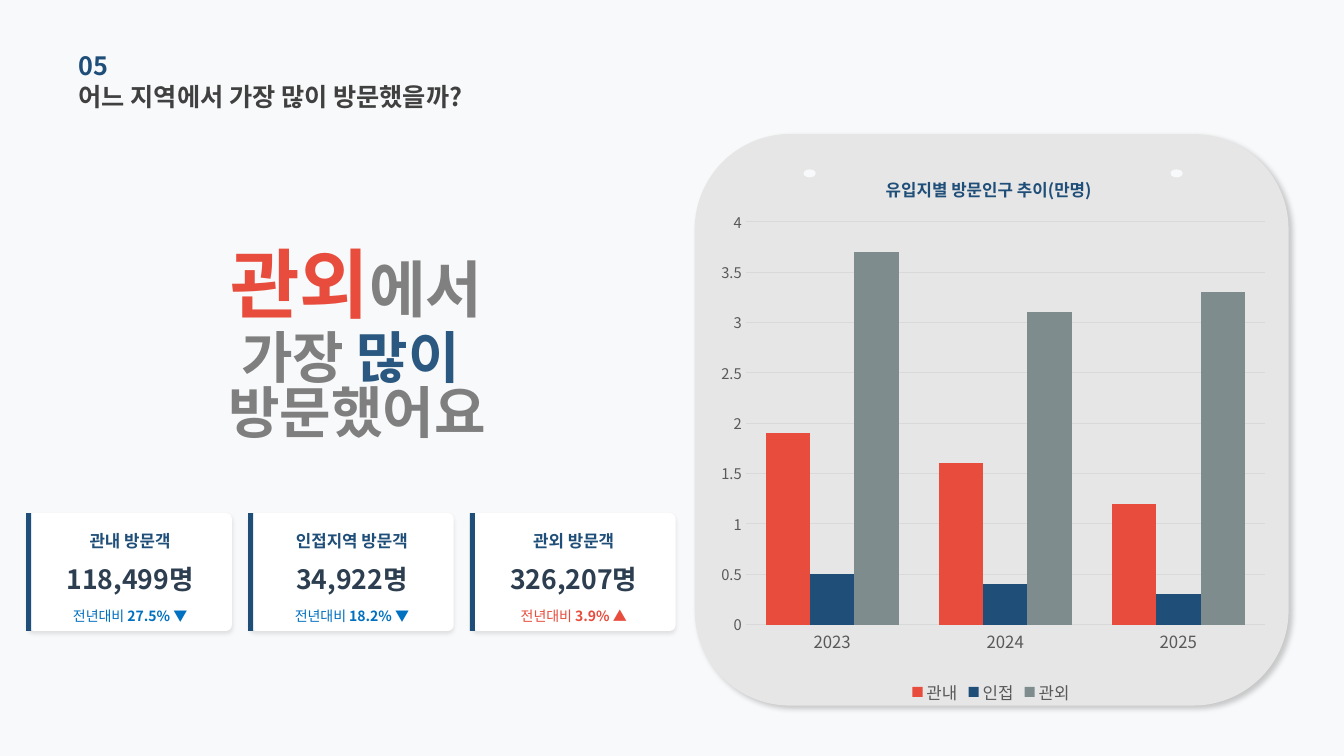
"""Build the slide on where visitors came from: headline, three figure cards and a column chart."""
from lxml import etree
from pptx import Presentation
from pptx.chart.data import CategoryChartData
from pptx.dml.color import RGBColor
from pptx.enum.chart import XL_CHART_TYPE, XL_LEGEND_POSITION, XL_TICK_MARK
from pptx.enum.shapes import MSO_SHAPE
from pptx.enum.text import MSO_ANCHOR, MSO_AUTO_SIZE, PP_ALIGN
from pptx.oxml import parse_xml
from pptx.oxml.ns import nsdecls, qn
from pptx.util import Inches, Pt

FONT = "Noto Sans CJK KR"
BACKGROUND = RGBColor(0xF8, 0xF9, 0xFA)
PANEL = RGBColor(0xE7, 0xE6, 0xE6)
WHITE = RGBColor(0xFF, 0xFF, 0xFF)
NAVY = RGBColor(0x1F, 0x4E, 0x79)
SOFT_NAVY = RGBColor(0x2B, 0x58, 0x80)
INK = RGBColor(0x2C, 0x3E, 0x50)
TITLE_GRAY = RGBColor(0x40, 0x40, 0x40)
LIGHT_GRAY = RGBColor(0x80, 0x80, 0x80)
HEADLINE_GRAY = RGBColor(0x7F, 0x7F, 0x7F)
AXIS_GRAY = RGBColor(0x59, 0x59, 0x59)
GRID_GRAY = RGBColor(0xD9, 0xD9, 0xD9)
RED = RGBColor(0xE7, 0x4C, 0x3C)
BLUE = RGBColor(0x00, 0x70, 0xC0)
SLATE = RGBColor(0x7F, 0x8C, 0x8D)

SECTION = [[("05", 18, NAVY, True)]]
TITLE = [[("어느 지역에서 가장 많이 방문했을까?", 18, TITLE_GRAY, True)]]
HEADLINE_TOP = [[("관외", 54, RED, True), ("에서", 44, LIGHT_GRAY, True)]]
HEADLINE_REST = [
    [("가장", 40, HEADLINE_GRAY, True), (" 많이 ", 40, SOFT_NAVY, True)],
    [("방문했어요", 40, HEADLINE_GRAY, True)],
]
CARDS = [
    ("관내 방문객", "118,499명", "27.5% ▼", BLUE),
    ("인접지역 방문객", "34,922명", "18.2% ▼", BLUE),
    ("관외 방문객", "326,207명", "3.9% ▲", RED),
]
CHART_TITLE = "유입지별 방문인구 추이(만명)"
YEARS = ["2023", "2024", "2025"]
SERIES = [
    ("관내", (1.9, 1.6, 1.2), RED),
    ("인접", (0.5, 0.4, 0.3), NAVY),
    ("관외", (3.7, 3.1, 3.3), SLATE),
]

CARD_LEFT, CARD_TOP, CARD_STEP = 0.28, 5.09, 2.2
CARD_WIDTH, CARD_HEIGHT, BAR_WIDTH = 2.02, 1.17, 0.05
HOLE_LEFTS = (7.97, 11.61)


def write(shape, paragraphs, align=PP_ALIGN.CENTER, spacing=None):
    frame = shape.text_frame
    frame.auto_size = MSO_AUTO_SIZE.NONE
    frame.word_wrap = True
    frame.vertical_anchor = MSO_ANCHOR.MIDDLE
    frame.margin_left = frame.margin_right = frame.margin_top = frame.margin_bottom = 0
    for index, runs in enumerate(paragraphs):
        paragraph = frame.add_paragraph() if index else frame.paragraphs[0]
        paragraph.alignment = align
        if spacing:
            paragraph.line_spacing = spacing
        for text, size, color, bold in runs:
            run = paragraph.add_run()
            run.text = text
            style(run.font, size, color, bold)


def style(font, size, color, bold=False):
    font.size = Pt(size)
    font.bold = bold
    font.color.rgb = color
    font.name = FONT


def add_text(slide, box, paragraphs, **options):
    write(slide.shapes.add_textbox(*map(Inches, box)), paragraphs, **options)


def add_block(slide, kind, box, color, shadow=None):
    shape = slide.shapes.add_shape(kind, *map(Inches, box))
    shape.fill.solid()
    shape.fill.fore_color.rgb = color
    shape.line.fill.background()
    shape.shadow.inherit = False
    if shadow:
        opacity, blur, distance, angle = shadow
        effects = shape.element.spPr.find(qn("a:effectLst"))
        outer = etree.SubElement(effects, qn("a:outerShdw"), blurRad=str(Pt(blur)), dist=str(Pt(distance)),
                                 dir=str(angle * 60000), algn="tl", rotWithShape="0")
        shade = etree.SubElement(outer, qn("a:srgbClr"), val="000000")
        etree.SubElement(shade, qn("a:alpha"), val=str(opacity * 1000))
    return shape


def add_card(slide, left, label, count, change, change_color):
    card = add_block(slide, MSO_SHAPE.ROUNDED_RECTANGLE, (left, CARD_TOP, CARD_WIDTH, CARD_HEIGHT),
                     WHITE, (10, 3, 2, 90))
    card.adjustments[0] = 0.05
    lines = [
        (0.16, 0.22, [(label, 12, NAVY, True)]),
        (0.48, 0.34, [(count, 19, INK, True)]),
        (0.92, 0.2, [("전년대비 ", 10, change_color, False), (change, 10, change_color, True)]),
    ]
    for offset, height, runs in lines:
        add_text(slide, (left, CARD_TOP + offset, CARD_WIDTH, height), [runs])
    add_block(slide, MSO_SHAPE.RECTANGLE, (left - 0.02, CARD_TOP, BAR_WIDTH, CARD_HEIGHT), NAVY)


def manual_layout(inner=False, **shares):
    target = '<c:layoutTarget val="inner"/>' if inner else ""
    modes = "".join(f'<c:{key}Mode val="edge"/>' for key in "xy")
    values = "".join(f'<c:{key} val="{value}"/>' for key, value in shares.items())
    return parse_xml(f'<c:layout {nsdecls("c")}><c:manualLayout>{target}{modes}{values}</c:manualLayout></c:layout>')


def place(parent, layout, before):
    for existing in parent.findall(qn("c:layout")):
        parent.remove(existing)
    parent.find(qn(before)).addprevious(layout)


def add_visitor_chart(slide):
    data = CategoryChartData()
    data.categories = YEARS
    for name, values, _ in SERIES:
        data.add_series(name, values)
    box = map(Inches, (7, 1.48, 5.66, 5.55))
    chart = slide.shapes.add_chart(XL_CHART_TYPE.COLUMN_CLUSTERED, *box, data).chart
    style(chart.font, 10, AXIS_GRAY)
    chart.element.find(qn("c:txPr")).addprevious(
        parse_xml(f'<c:spPr {nsdecls("c", "a")}><a:noFill/><a:ln><a:noFill/></a:ln></c:spPr>'))

    chart.has_title = True
    run = chart.chart_title.text_frame.paragraphs[0].add_run()
    run.text = CHART_TITLE
    style(run.font, 12, NAVY, True)
    chart.chart_title.include_in_layout = False
    place(chart.chart_title.format.line and chart.element.chart.find(qn("c:title")),
          manual_layout(x=0.31, y=0.04), "c:overlay")

    chart.has_legend = True
    chart.legend.position = XL_LEGEND_POSITION.BOTTOM
    chart.legend.include_in_layout = False
    style(chart.legend.font, 12, AXIS_GRAY)

    plot = chart.plots[0]
    plot.gap_width = 90
    plot.overlap = 0
    plot.vary_by_categories = False
    for series, (_, _, color) in zip(plot.series, SERIES):
        series.format.fill.solid()
        series.format.fill.fore_color.rgb = color
    place(chart.element.chart.plotArea, manual_layout(inner=True, x=0.07, y=0.13, w=0.91, h=0.72), "c:barChart")

    for axis, size in ((chart.category_axis, 12), (chart.value_axis, 10.5)):
        axis.major_tick_mark = axis.minor_tick_mark = XL_TICK_MARK.NONE
        style(axis.tick_labels.font, size, AXIS_GRAY)
    grid = chart.value_axis.major_gridlines.format.line
    for line in (chart.category_axis.format.line, grid):
        line.color.rgb = GRID_GRAY
        line.width = Pt(0.75)
    chart.value_axis.format.line.fill.background()
    chart.value_axis.minimum_scale = 0
    chart.value_axis.maximum_scale = 4
    chart.value_axis.major_unit = 0.5
    return chart


def use_korean_font(element):
    for latin in list(element.iter(qn("a:latin"))):
        latin.addnext(latin.makeelement(qn("a:ea"), {"typeface": FONT}))


def main():
    presentation = Presentation()
    presentation.slide_width, presentation.slide_height = Inches(13.33), Inches(7.5)
    slide = presentation.slides.add_slide(presentation.slide_layouts[5])
    slide.background.fill.solid()
    slide.background.fill.fore_color.rgb = BACKGROUND

    title = slide.shapes.title
    title.left, title.top, title.width, title.height = map(Inches, (0.78, 0.75, 5.28, 0.41))
    write(title, TITLE, align=PP_ALIGN.LEFT)
    add_text(slide, (0.78, 0.44, 4.52, 0.41), SECTION, align=PP_ALIGN.LEFT)

    add_block(slide, MSO_SHAPE.ROUNDED_RECTANGLE, (6.89, 1.33, 5.89, 5.67), PANEL, (20, 4, 3, 45))
    for left in HOLE_LEFTS:
        add_block(slide, MSO_SHAPE.OVAL, (left, 1.68, 0.12, 0.08), BACKGROUND)
    add_text(slide, (1.39, 2.56, 4.29, 0.48), HEADLINE_TOP)
    add_text(slide, (0.78, 3.44, 5.52, 0.84), HEADLINE_REST, spacing=0.82)
    for index, card in enumerate(CARDS):
        add_card(slide, CARD_LEFT + index * CARD_STEP, *card)

    chart = add_visitor_chart(slide)
    for element in (slide.element, chart.element):
        use_korean_font(element)
    presentation.save("out.pptx")


if __name__ == "__main__":
    main()
